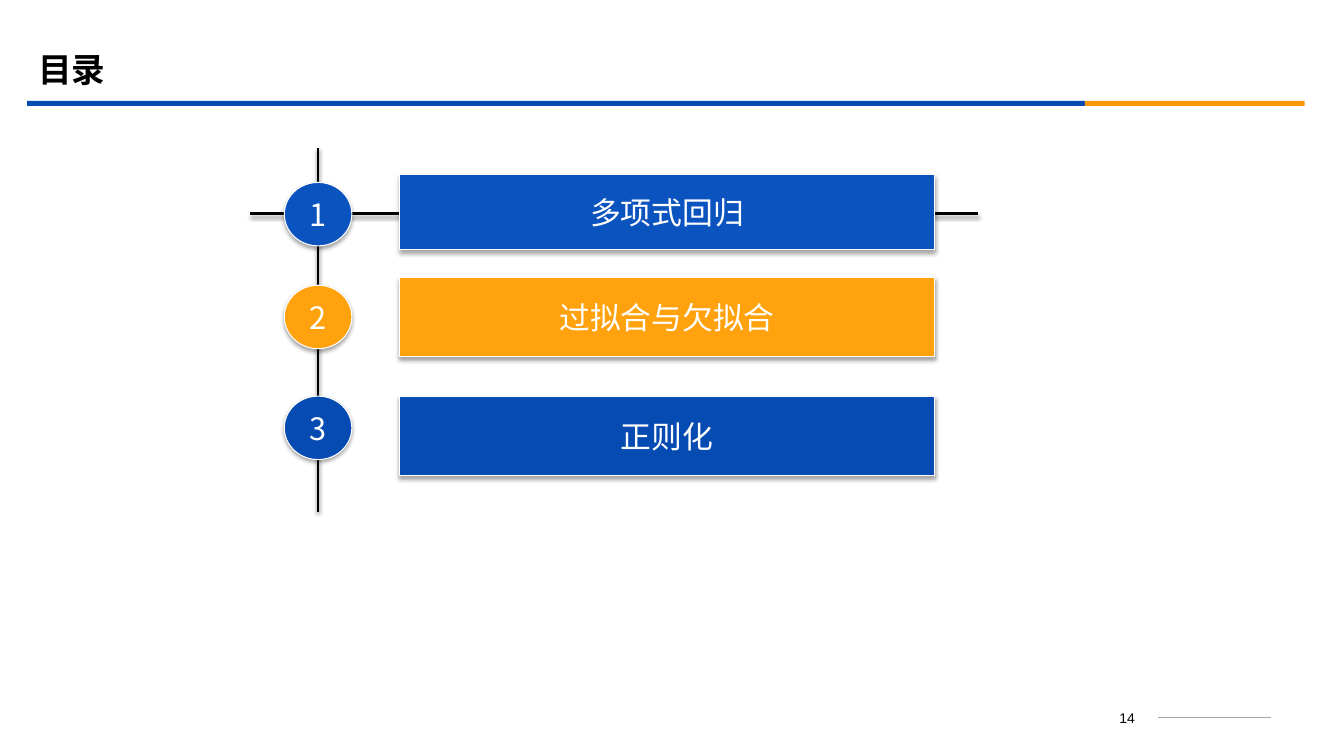
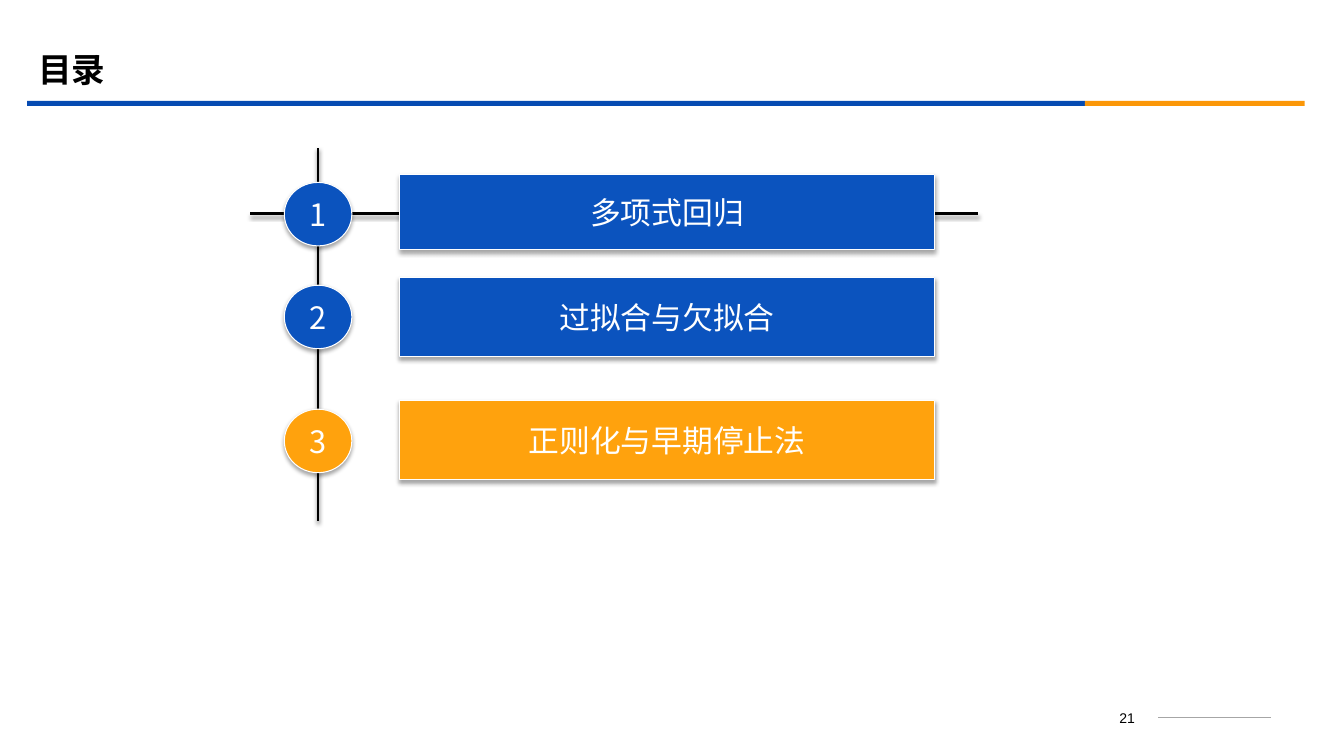
"""Build two agenda slides that highlight the current chapter."""
from pptx import Presentation
from pptx.dml.color import RGBColor
from pptx.enum.shapes import MSO_CONNECTOR, MSO_SHAPE
from pptx.enum.text import MSO_ANCHOR, PP_ALIGN
from pptx.oxml.ns import qn
from pptx.util import Inches, Pt
from lxml.etree import SubElement

BLUE, DEEP_BLUE, ORANGE = "0B53BE", "064BB2", "FFA20D"
BAND_ORANGE, GREY, BLACK, WHITE = "FB9708", "A6A6A6", "000000", "FFFFFF"
CHAPTER_FONT, TITLE_FONT, NUMBER_FONT = "Noto Sans CJK SC", "Montserrat", "Arial"

TITLE = "目录"
BANDS = [(0.27, 10.49, DEEP_BLUE), (10.76, 2.18, BAND_ORANGE)]
CIRCLE_LEFT, CIRCLE_WIDTH, CIRCLE_HEIGHT = 2.82, 0.67, 0.63
BAR_LEFT, BAR_WIDTH = 3.96, 5.31
SPINE_X, SPINE_TOP = CIRCLE_LEFT + CIRCLE_WIDTH / 2, 1.47
CROSSBAR = (2.48, 2.12, 9.7, 2.12)

# Each chapter: label, colour, circle top, bar top, bar height.
AGENDAS = [
    {"page": "14", "spine_bottom": 5.08, "chapters": [
        ("多项式回归", BLUE, 1.81, 1.73, 0.75),
        ("过拟合与欠拟合", ORANGE, 2.83, 2.75, 0.79),
        ("正则化", DEEP_BLUE, 3.93, 3.93, 0.79)]},
    {"page": "21", "spine_bottom": 5.17, "chapters": [
        ("多项式回归", BLUE, 1.81, 1.73, 0.75),
        ("过拟合与欠拟合", BLUE, 2.83, 2.75, 0.79),
        ("正则化与早期停止法", ORANGE, 4.06, 3.97, 0.79)]},
]


def color(value):
    return RGBColor.from_string(value)


def set_effects(shape, distance=0, opacity=0):
    """Give the shape a downward shadow, or none when opacity is zero."""
    effects = SubElement(shape._element.spPr, qn("a:effectLst"))
    if opacity:
        shadow = SubElement(effects, qn("a:outerShdw"), blurRad=str(Pt(3.1)),
                            dist=str(Pt(distance)), dir="5400000", rotWithShape="0")
        black = SubElement(shadow, qn("a:srgbClr"), val=BLACK)
        SubElement(black, qn("a:alpha"), val=str(opacity * 1000))


def write(shape, text, font, size, ink, align, anchor, bold=False, wrap=False):
    frame = shape.text_frame
    frame.text = text
    frame.word_wrap = wrap
    frame.vertical_anchor = anchor
    paragraph = frame.paragraphs[0]
    paragraph.alignment = align
    for run in paragraph.runs:
        run.font.name = font
        run.font.size = Pt(size)
        run.font.bold = bold
        run.font.color.rgb = color(ink)
        SubElement(run.font._element, qn("a:ea"), typeface=font)


def add_line(slide, points, ink, width, opacity=0):
    line = slide.shapes.add_connector(MSO_CONNECTOR.STRAIGHT, *map(Inches, points))
    line.line.color.rgb = color(ink)
    line.line.width = Pt(width)
    set_effects(line, 1.6, opacity)


def add_text(slide, box, *style, **options):
    write(slide.shapes.add_textbox(*map(Inches, box)), *style, **options)


def add_frame(slide, page):
    """Draw the title, the two bands and the page number."""
    for left, width, fill in BANDS:
        band = slide.shapes.add_shape(MSO_SHAPE.RECTANGLE, *map(Inches, (left, 1, width, 0.05)))
        band.fill.solid()
        band.fill.fore_color.rgb = color(fill)
        band.line.fill.background()
        band.shadow.inherit = False
    add_text(slide, (0.28, 0.39, 12, 0.58), TITLE, TITLE_FONT, 24, BLACK,
             PP_ALIGN.LEFT, MSO_ANCHOR.MIDDLE, bold=True, wrap=True)
    add_text(slide, (10.87, 6.99, 0.62, 0.25), page, NUMBER_FONT, 10, BLACK,
             PP_ALIGN.CENTER, MSO_ANCHOR.TOP, wrap=True)
    add_line(slide, (11.49, 7.12, 12.61, 7.12), GREY, 0.75)


def add_button(slide, kind, box, fill, text):
    button = slide.shapes.add_shape(kind, *map(Inches, box))
    button.fill.solid()
    button.fill.fore_color.rgb = color(fill)
    button.line.color.rgb = color(WHITE)
    button.line.width = Pt(0.75)
    set_effects(button, 1.8, 35)
    write(button, text, CHAPTER_FONT, 22, WHITE, PP_ALIGN.CENTER, MSO_ANCHOR.MIDDLE)


def add_agenda(slide, agenda):
    add_frame(slide, agenda["page"])
    spine = (SPINE_X, SPINE_TOP, SPINE_X, agenda["spine_bottom"])
    for points in (spine, CROSSBAR):
        add_line(slide, points, BLACK, 2, 38)
    for number, chapter in enumerate(agenda["chapters"], 1):
        label, fill, circle_top, bar_top, bar_height = chapter
        add_button(slide, MSO_SHAPE.OVAL,
                   (CIRCLE_LEFT, circle_top, CIRCLE_WIDTH, CIRCLE_HEIGHT), fill, str(number))
        add_button(slide, MSO_SHAPE.ACTION_BUTTON_CUSTOM,
                   (BAR_LEFT, bar_top, BAR_WIDTH, bar_height), fill, label)


def main():
    presentation = Presentation()
    presentation.slide_width, presentation.slide_height = Inches(13.33), Inches(7.5)
    for agenda in AGENDAS:
        add_agenda(presentation.slides.add_slide(presentation.slide_layouts[6]), agenda)
    presentation.save("out.pptx")


if __name__ == "__main__":
    main()
